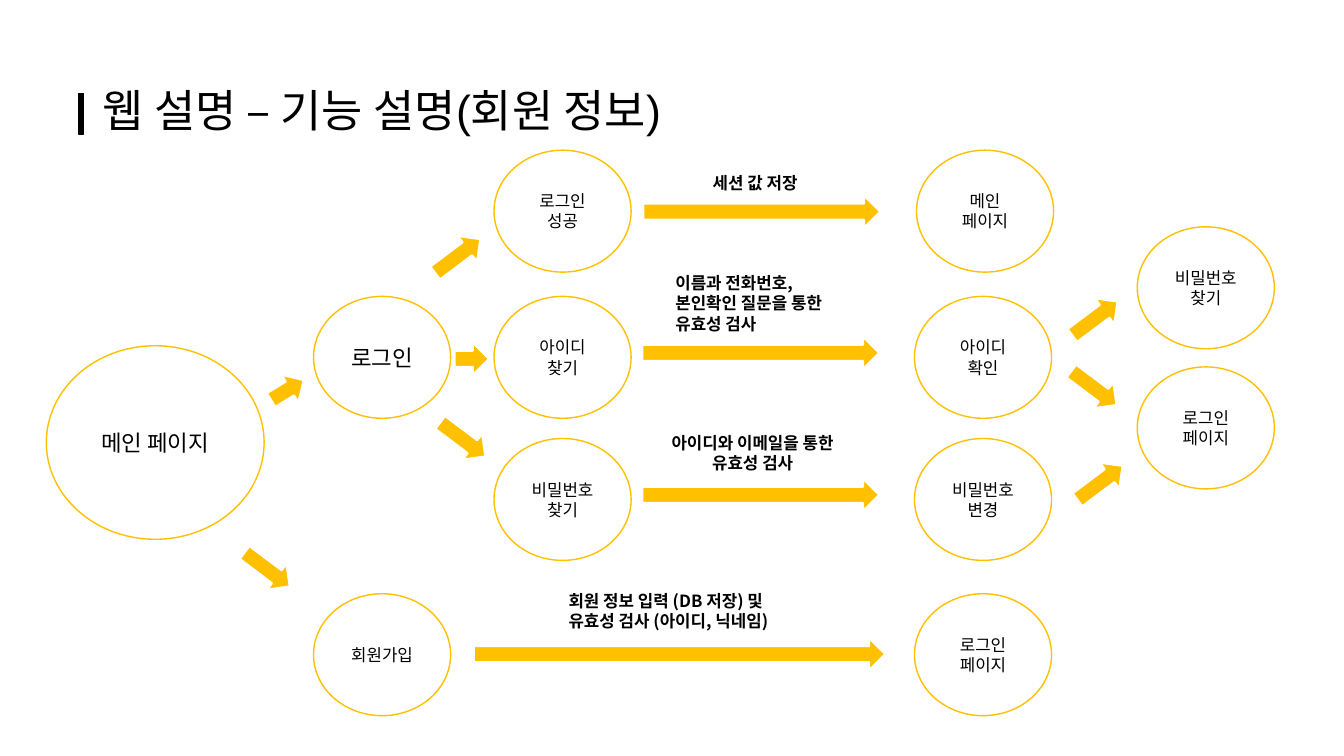
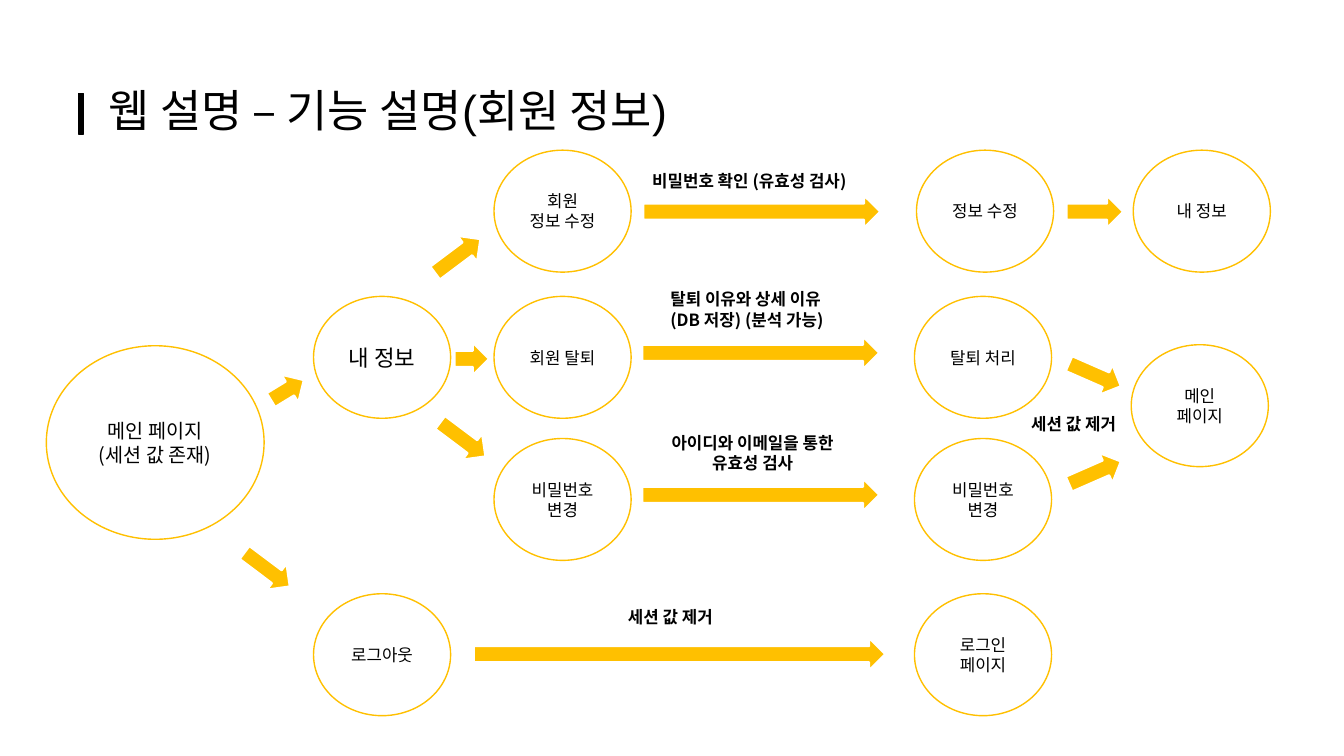
from dataclasses import dataclass

from pptx import Presentation
from pptx.dml.color import RGBColor
from pptx.enum.shapes import MSO_SHAPE
from pptx.enum.text import MSO_ANCHOR, MSO_AUTO_SIZE, PP_ALIGN
from pptx.util import Emu, Pt


@dataclass(frozen=True)
class Theme:
    black: RGBColor = RGBColor(0x00, 0x00, 0x00)
    white: RGBColor = RGBColor(0xFF, 0xFF, 0xFF)
    accent: RGBColor = RGBColor(0xFF, 0xC0, 0x00)
    title_font: str = "Arial"
    body_font: str = "Noto Sans CJK KR"
    title_size: int = 32
    large_size: int = 16
    medium_size: int = 14
    small_size: int = 12
    thin_line: float = 1
    arrow_line: float = 1.5


THEME = Theme()
EMU_PER_PX = 9144
SLIDE_SIZE = (1333, 750)
TITLE = "웹 설명 – 기능 설명(회원 정보)"
TITLE_TOP, TITLE_WIDTH, TITLE_HEIGHT = 40, 1150, 145
TITLE_BAR = (78, 93, 5, 40)

MAIN_CIRCLE = (46, 343, 216, 192)
CIRCLE_WIDTH, CIRCLE_HEIGHT = 136, 121
MENU, STEP, RESULT = 311, 490, 907
TOP, MIDDLE, LOWER, BOTTOM = 149, 294, 435, 589
ARROW_HEIGHT = 32
UP, DOWN = -36.9, 36.9

SHARED_ARROWS = [
    (426, 238, 56, UP),
    (451, 340, 34, 0),
    (431, 420, 56, DOWN),
    (266, 371, 38, -31.3),
    (237, 549, 56, DOWN),
    (638, 194, 235, 0),
    (637, 334, 235, 0),
    (637, 475, 235, 0),
    (470, 633, 408, 0),
]

SHARED_CIRCLES = [
    (RESULT, LOWER, ["비밀번호", "변경"], THEME.small_size),
    (RESULT, BOTTOM, ["로그인", "페이지"], THEME.small_size),
]

SHARED_LABELS = [
    (647, 424, 199, ["아이디와 이메일을 통한", "유효성 검사"], PP_ALIGN.CENTER),
]

SLIDES = [
    {
        "title_left": 92,
        "main": (["메인 페이지"], THEME.large_size),
        "circles": [
            (MENU, MIDDLE, ["로그인"], THEME.large_size),
            (MENU, BOTTOM, ["회원가입"], THEME.small_size),
            (STEP, TOP, ["로그인", "성공"], THEME.small_size),
            (STEP, MIDDLE, ["아이디", "찾기"], THEME.small_size),
            (STEP, LOWER, ["비밀번호 찾기"], THEME.small_size),
            (909, TOP, ["메인", "페이지"], THEME.small_size),
            (RESULT, MIDDLE, ["아이디", "확인"], THEME.small_size),
            (1128, 225, ["비밀번호 찾기"], THEME.small_size),
            (1128, 364, ["로그인", "페이지"], THEME.small_size),
        ],
        "arrows": [
            (1058, 300, 56, UP),
            (1057, 369, 56, DOWN),
            (1063, 463, 56, UP),
        ],
        "labels": [
            (697, 166, 116, ["세션 값 저장"], PP_ALIGN.LEFT),
            (660, 266, 191, ["이름과 전화번호,", "본인확인 질문을 통한", "유효성 검사"],
             PP_ALIGN.LEFT),
            (554, 581, 249, ["회원 정보 입력 (DB 저장) 및", "유효성 검사 (아이디, 닉네임)"],
             PP_ALIGN.LEFT),
        ],
    },
    {
        "title_left": 98,
        "main": (["메인 페이지", "(세션 값 존재)"], THEME.medium_size),
        "circles": [
            (MENU, MIDDLE, ["내 정보"], THEME.large_size),
            (MENU, BOTTOM, ["로그아웃"], THEME.small_size),
            (STEP, TOP, ["회원", "정보 수정"], THEME.small_size),
            (STEP, MIDDLE, ["회원 탈퇴"], THEME.small_size),
            (STEP, LOWER, ["비밀번호", "변경"], THEME.small_size),
            (909, TOP, ["정보 수정"], THEME.small_size),
            (RESULT, MIDDLE, ["탈퇴 처리"], THEME.small_size),
            (1124, TOP, ["내 정보"], THEME.small_size),
            (1122, 342, ["메인", "페이지"], THEME.small_size),
        ],
        "arrows": [
            (1058, 194, 56, 0),
            (1058, 356, 56, 23.6),
            (1058, 453, 56, -23.6),
        ],
        "labels": [
            (637, 164, 235, ["비밀번호 확인 (유효성 검사)"], PP_ALIGN.LEFT),
            (655, 282, 191, ["탈퇴 이유와 상세 이유", "(DB 저장) (분석 가능)"],
             PP_ALIGN.LEFT),
            (613, 597, 122, ["세션 값 제거"], PP_ALIGN.LEFT),
            (1013, 406, 126, ["세션 값 제거"], PP_ALIGN.LEFT),
        ],
    },
]


def px(*lengths):
    return [Emu(length * EMU_PER_PX) for length in lengths]


def write_lines(text_frame, lines, size, alignment, font=THEME.body_font, bold=False):
    text_frame.word_wrap = True
    text_frame.text = "\n".join(lines)
    for paragraph in text_frame.paragraphs:
        paragraph.alignment = alignment
        paragraph.font.name = font
        paragraph.font.size = Pt(size)
        paragraph.font.bold = bold
        paragraph.font.color.rgb = THEME.black


def add_preset(slide, kind, box, fill, line, line_width):
    shape = slide.shapes.add_shape(kind, *px(*box))
    shape.shadow.inherit = False
    shape.fill.solid()
    shape.fill.fore_color.rgb = fill
    shape.line.color.rgb = line
    shape.line.width = Pt(line_width)
    return shape


def add_title(slide, left):
    title = slide.shapes.title
    title.left, title.top, title.width, title.height = px(
        left, TITLE_TOP, TITLE_WIDTH, TITLE_HEIGHT)
    title.text_frame.auto_size = MSO_AUTO_SIZE.NONE
    title.text_frame.vertical_anchor = MSO_ANCHOR.MIDDLE
    write_lines(title.text_frame, [TITLE], THEME.title_size, PP_ALIGN.LEFT,
                THEME.title_font)
    title.text_frame.paragraphs[0].line_spacing = 0.9
    add_preset(slide, MSO_SHAPE.RECTANGLE, TITLE_BAR, THEME.black, THEME.black,
               THEME.thin_line)


def add_circle(slide, box, lines, size):
    circle = add_preset(slide, MSO_SHAPE.OVAL, box, THEME.white, THEME.accent,
                        THEME.thin_line)
    circle.text_frame.vertical_anchor = MSO_ANCHOR.MIDDLE
    write_lines(circle.text_frame, lines, size, PP_ALIGN.CENTER)


def add_arrow(slide, left, top, width, rotation):
    arrow = add_preset(slide, MSO_SHAPE.RIGHT_ARROW, (left, top, width, ARROW_HEIGHT),
                       THEME.accent, THEME.white, THEME.arrow_line)
    arrow.rotation = rotation


def add_label(slide, left, top, width, lines, alignment):
    height = 10 + 20 * len(lines)
    label = slide.shapes.add_textbox(*px(left, top, width, height))
    write_lines(label.text_frame, lines, THEME.small_size, alignment, bold=True)


def add_flow_slide(presentation, content):
    slide = presentation.slides.add_slide(presentation.slide_layouts[5])
    add_title(slide, content["title_left"])
    for arrow in SHARED_ARROWS + content["arrows"]:
        add_arrow(slide, *arrow)
    add_circle(slide, MAIN_CIRCLE, *content["main"])
    for left, top, lines, size in SHARED_CIRCLES + content["circles"]:
        add_circle(slide, (left, top, CIRCLE_WIDTH, CIRCLE_HEIGHT), lines, size)
    for label in SHARED_LABELS + content["labels"]:
        add_label(slide, *label)


def main():
    presentation = Presentation()
    presentation.slide_width, presentation.slide_height = px(*SLIDE_SIZE)
    for content in SLIDES:
        add_flow_slide(presentation, content)
    presentation.save("out.pptx")


if __name__ == "__main__":
    main()
